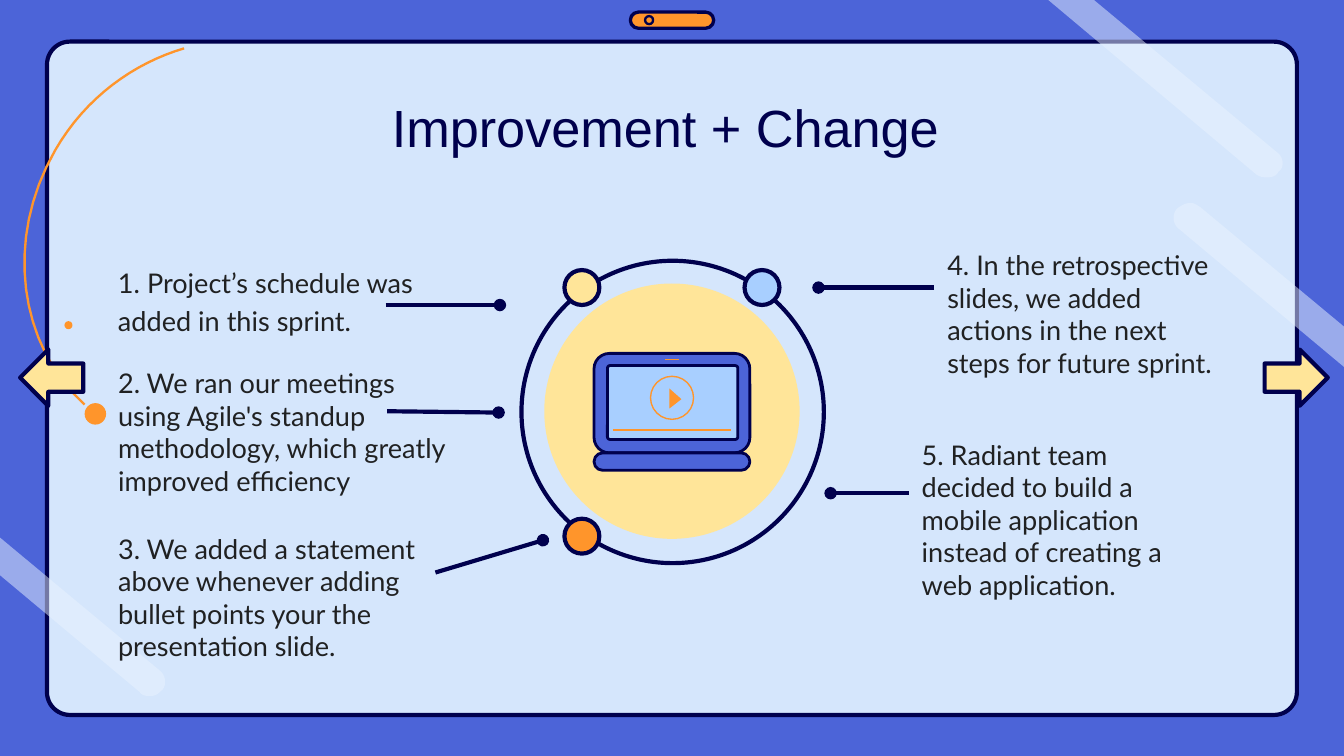
"""Build the Improvement + Change slide with its ring, laptop and notes."""
from lxml import etree
from pptx import Presentation
from pptx.dml.color import RGBColor
from pptx.enum.shapes import MSO_CONNECTOR, MSO_SHAPE
from pptx.enum.text import MSO_ANCHOR, PP_ALIGN
from pptx.oxml.ns import qn
from pptx.util import Cm, Pt

ROUND, OVAL = MSO_SHAPE.ROUNDED_RECTANGLE, MSO_SHAPE.OVAL
LEFT, RIGHT = MSO_SHAPE.LEFT_ARROW, MSO_SHAPE.RIGHT_ARROW
TOP, MIDDLE = MSO_ANCHOR.TOP, MSO_ANCHOR.MIDDLE
NAVY, BLUE, ORANGE = "00004D", "4C64D8", "FF952B"
CREAM, SKY, PALE, GLARE = "FFE599", "A8CFFF", "D5E6FC", "E9F3FF"
INK = "202122"

# kind, box in inches, fill, line, line width, corner
FRAME = [
    (ROUND, (0.35, 0.31, 9.3, 5.01), PALE, NAVY, 2.25, 0.034),
    (ROUND, (4.69, 0.09, 0.62, 0.12), ORANGE, NAVY, 1.75, 0.5),
    (OVAL, (4.8, 0.12, 0.06, 0.06), None, NAVY, 1.25, None),
    (OVAL, (0.48, 2.39, 0.06, 0.06), ORANGE, None, 0, None),
    (OVAL, (0.63, 3, 0.16, 0.16), ORANGE, None, 0, None),
]
CENTRE = [
    (OVAL, (4.05, 2.11, 1.9, 1.9), CREAM, None, 0, None),
    (OVAL, (3.88, 1.94, 2.25, 2.25), None, NAVY, 2.25, None),
    (ROUND, (4.42, 2.63, 1.16, 0.74), BLUE, NAVY, 1.5, 0.155),
    (ROUND, (4.52, 2.72, 0.97, 0.55), SKY, NAVY, 1.5, 0.035),
    (OVAL, (4.84, 2.8, 0.32, 0.32), None, ORANGE, 0.75, None),
    (ROUND, (4.42, 3.37, 1.16, 0.13), BLUE, NAVY, 1.5, 0.5),
]
DOTS = [(4.2, 2.01, CREAM), (5.54, 2.01, SKY), (4.2, 3.86, ORANGE)]
ARROWS = [(LEFT, 0.15), (RIGHT, 9.41)]

# each step holds an end point, after two control points if it curves
ARC = [(0.63, 3.01), (0.14, 2.57, 0.03, 1.78, 0.41, 1.12),
       (0.64, 0.72, 1, 0.47, 1.37, 0.36)]
BANDS = [
    [(7.8, 0), (9.35, 1.3), (9.38, 1.32, 9.41, 1.32, 9.43, 1.32),
     (9.46, 1.32, 9.5, 1.31, 9.51, 1.28), (9.56, 1.25, 9.55, 1.17, 9.51, 1.14),
     (8.14, 0)],
    [(1.11, 5.18), (1.15, 5.18, 1.17, 5.17, 1.2, 5.14),
     (1.24, 5.11, 1.24, 5.03, 1.19, 4.99), (0, 4), (0, 4.28), (1.04, 5.15),
     (1.05, 5.17, 1.08, 5.18, 1.11, 5.18)],
    [(8.86, 1.51), (8.82, 1.51, 8.79, 1.53, 8.76, 1.55),
     (8.72, 1.59, 8.72, 1.67, 8.78, 1.71), (10, 2.73), (10, 2.43), (8.93, 1.54),
     (8.91, 1.53, 8.89, 1.51, 8.86, 1.51)],
]
PLAY = [(4.98, 2.89), (4.98, 3.04), (5.07, 2.97)]

RULES = [((4.56, 3.2), (5.44, 3.2), 0.75), ((4.95, 2.67), (5.05, 2.67), 0.25)]
LEADS = [
    ((2.87, 2.27), (3.72, 2.27)),
    ((2.88, 3.06), (3.71, 3.07)),
    ((3.24, 4.26), (4.04, 4.02)),
    ((6.95, 2.14), (6.09, 2.14)),
    ((6.76, 3.67), (6.18, 3.67)),
]
TITLE = "Improvement + Change"
NOTES = [
    ((0.78, 1.9, 2.57, 0.65), MIDDLE, 1.15,
     "1. Project’s schedule was added in this sprint."),
    ((0.78, 2.63, 2.68, 1.18), TOP, 1,
     "2. We ran our meetings using Agile's standup methodology, "
     "which greatly improved efficiency"),
    ((0.78, 3.86, 2.68, 1.18), TOP, 1,
     "3. We added a statement above whenever adding bullet points your "
     "the presentation slide."),
    ((6.95, 2.01, 2.27, 0.65), MIDDLE, 1,
     "4. In the retrospective slides, we added actions in the next steps "
     "for future sprint."),
    ((6.76, 3.54, 2.27, 0.65), MIDDLE, 1,
     "5. Radiant team decided to build a mobile application instead of "
     "creating a web application."),
]


def cm(inch):
    return Cm(inch * 2.54)


def tint(color):
    return RGBColor.from_string(color)


def paint(shape, fill, line, width):
    shape.shadow.inherit = False
    if fill:
        shape.fill.solid()
        shape.fill.fore_color.rgb = tint(fill)
    else:
        shape.fill.background()
    if line:
        shape.line.color.rgb = tint(line)
        shape.line.width = Pt(width)
    else:
        shape.line.fill.background()


def draw(slide, kind, box, fill, line, width, corner=None):
    shape = slide.shapes.add_shape(kind, *map(cm, box))
    if corner is not None:
        shape.adjustments[0] = corner
    paint(shape, fill, line, width)


def trace(steps, count=16):
    points = [steps[0]]
    for step in steps[1:]:
        if len(step) == 2:
            points.append(step)
            continue
        knots = [points[-1], step[:2], step[2:4], step[4:]]
        for i in range(1, count + 1):
            t = i / count
            parts = ((1 - t) ** 3, 3 * t * (1 - t) ** 2,
                     3 * t * t * (1 - t), t ** 3)
            points.append(tuple(sum(p * k[axis] for p, k in zip(parts, knots))
                                for axis in (0, 1)))
    return points


def outline(slide, steps, fill, line=None, width=0, close=True):
    points = [(cm(x), cm(y)) for x, y in trace(steps)]
    pen = slide.shapes.build_freeform(*points[0], scale=1.0)
    pen.add_line_segments(points[1:], close=close)
    shape = pen.convert_to_shape()
    paint(shape, fill, line, width)
    return shape


def link(slide, start, end, color, width, dot=False):
    line = slide.shapes.add_connector(
        MSO_CONNECTOR.STRAIGHT, *map(cm, start + end))
    line.line.color.rgb = tint(color)
    line.line.width = Pt(width)
    props = line._element.spPr
    if dot:
        etree.SubElement(props.find(qn("a:ln")), qn("a:tailEnd"), type="oval")
    etree.SubElement(props, qn("a:effectLst"))


def write(slide, box, text, font, size, color, anchor=TOP, space=1,
          align=PP_ALIGN.LEFT):
    frame = slide.shapes.add_textbox(*map(cm, box)).text_frame
    frame.word_wrap = True
    frame.vertical_anchor = anchor
    frame.margin_left = frame.margin_right = cm(0.1)
    frame.margin_top = frame.margin_bottom = cm(0.1)
    frame.text = text
    para = frame.paragraphs[0]
    para.alignment = align
    para.line_spacing = space
    run = para.runs[0].font
    run.name, run.size = font, Pt(size)
    run.color.rgb = tint(color)


def main():
    deck = Presentation()
    deck.slide_width, deck.slide_height = cm(10), cm(5.625)
    slide = deck.slides.add_slide(deck.slide_layouts[6])
    slide.background.fill.solid()
    slide.background.fill.fore_color.rgb = tint(BLUE)

    for item in FRAME:
        draw(slide, *item)
    outline(slide, ARC, None, ORANGE, 1.25, close=False)
    for band in BANDS:
        shape = outline(slide, band, GLARE)
        shade = shape._element.spPr.find(qn("a:solidFill"))[0]
        etree.SubElement(shade, qn("a:alpha"), val="50000")

    write(slide, (0.74, 0.61, 8.42, 0.63), TITLE, "Arial", 28, NAVY,
          align=PP_ALIGN.CENTER)
    for item in CENTRE:
        draw(slide, *item)
    outline(slide, PLAY, ORANGE)
    for start, end, width in RULES:
        link(slide, start, end, ORANGE, width)
    for start, end in LEADS:
        link(slide, start, end, NAVY, 2.25, dot=True)
    for x, y, fill in DOTS:
        draw(slide, OVAL, (x, y, 0.26, 0.26), fill, NAVY, 2.25)
    for kind, x in ARROWS:
        draw(slide, kind, (x, 2.6, 0.47, 0.42), CREAM, NAVY, 2.25)
    for box, anchor, space, text in NOTES:
        write(slide, box, text, "Lato", 14.5, INK, anchor, space)
    deck.save("out.pptx")


if __name__ == "__main__":
    main()
